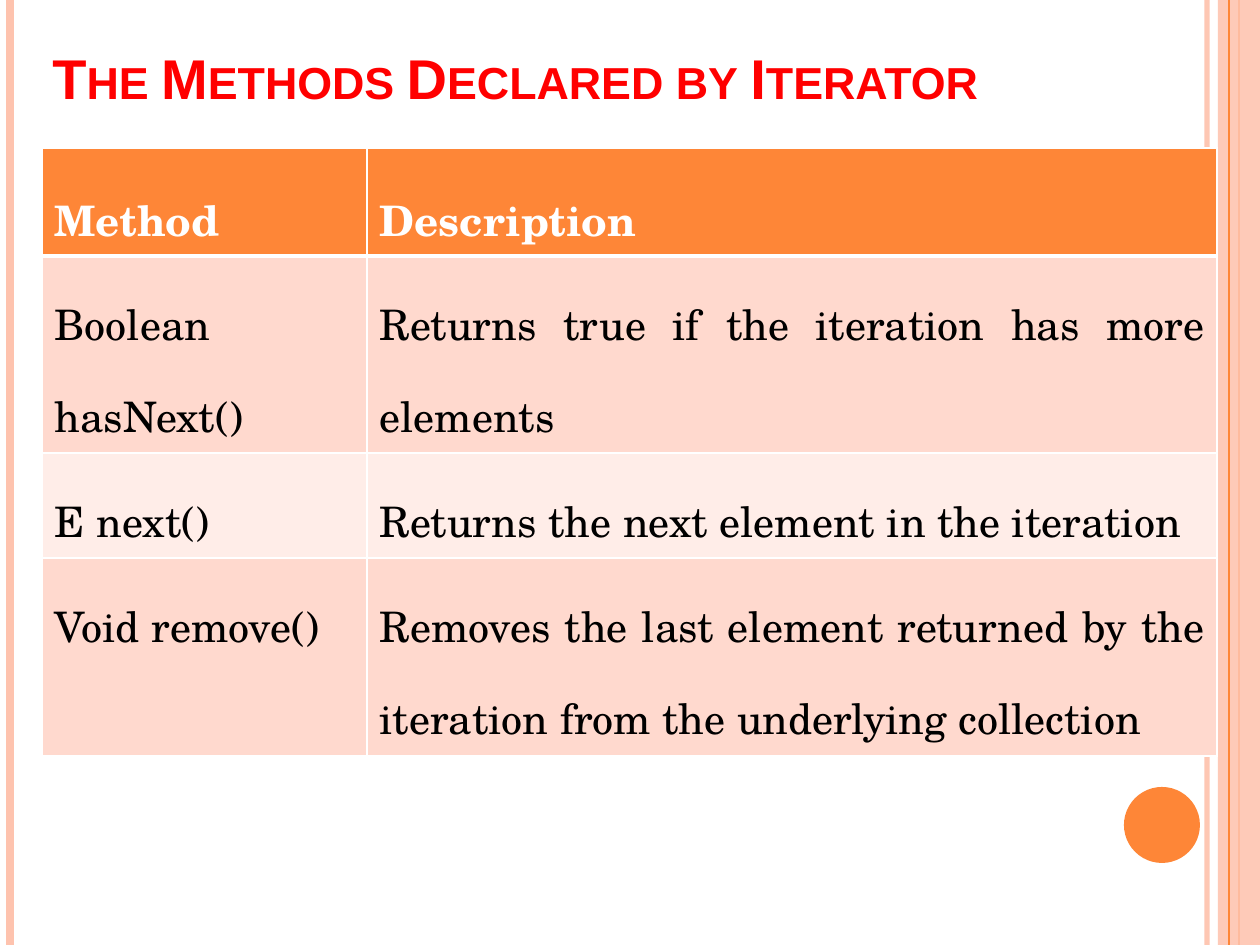
import pptx
import pptx.dml.color
import pptx.enum.shapes
import pptx.enum.text
import pptx.oxml
import pptx.oxml.ns
import pptx.util
from lxml import etree

SCALE = 914400 / 126
THEME = {
    "accent": "FE8637",
    "pale": "FEC3AE",
    "band_dark": "FFD9CE",
    "band_light": "FFEDE8",
    "title": "FF0000",
    "text": "000000",
    "white": "FFFFFF",
    "title_font": "Arial",
    "body_font": "TeX Gyre Schola",
    "title_size": 32,
    "body_size": 24,
}
qn = pptx.oxml.ns.qn
PAGE_WIDTH, PAGE_HEIGHT = 1260, 945


def px(*lengths):
    """Turn pixel lengths into EMU."""
    return [pptx.util.Emu(round(length * SCALE)) for length in lengths]


def paint(fill, name, alpha=100):
    """Fill with a solid theme colour, alpha in percent."""
    fill.solid()
    fill.fore_color.rgb = pptx.dml.color.RGBColor.from_string(THEME[name])
    if alpha < 100:
        color = fill._xPr.find(".//" + qn("a:srgbClr"))
        etree.SubElement(color, qn("a:alpha")).set("val", str(alpha * 1000))


deck = pptx.Presentation()
deck.slide_width, deck.slide_height = px(PAGE_WIDTH, PAGE_HEIGHT)
page = deck.slides.add_slide(deck.slide_layouts[6])

# Side stripes: (kind, x, width, colour, alpha); line widths are in points
STRIPES = [
    ("line", 1207, 3, "pale", 93),
    ("line", 10, 4.5, "pale", 100),
    ("line", 1239, 1.5, "accent", 100),
    ("band", 1218, 42, "pale", 87),
    ("line", 1229, 0.75, "accent", 100),
]
for kind, x, width, color, alpha in STRIPES:
    if kind == "band":
        band = page.shapes.add_shape(
            pptx.enum.shapes.MSO_SHAPE.RECTANGLE, *px(x, 0, width, PAGE_HEIGHT))
        band.shadow.inherit = False
        band.line.fill.background()
        paint(band.fill, color, alpha)
    else:
        line = page.shapes.add_connector(
            pptx.enum.shapes.MSO_CONNECTOR.STRAIGHT, *px(x, 0, x, PAGE_HEIGHT))
        line.line.width = pptx.util.Pt(width)
        paint(line.line.fill, color, alpha)
        etree.SubElement(line._element.spPr, qn("a:effectLst"))

circle = page.shapes.add_shape(
    pptx.enum.shapes.MSO_SHAPE.OVAL, *px(1124, 787, 76, 76))
circle.shadow.inherit = False
circle.line.fill.background()
paint(circle.fill, "accent")

# Title
box = page.shapes.add_textbox(*px(40, 13, 1155, 104))
box.text_frame.word_wrap = True
box.text_frame.vertical_anchor = pptx.enum.text.MSO_ANCHOR.BOTTOM
para = box.text_frame.paragraphs[0]
span = para.add_run()
span.text = "The Methods Declared by Iterator"
span.font.name = THEME["title_font"]
span.font.size = pptx.util.Pt(THEME["title_size"])
span.font.bold = True
paint(span.font.fill, "title")
span.font._element.set("cap", "small")

# Methods table
ROWS = [
    ("Method", "Description"),
    ("Boolean hasNext()", "Returns true if the iteration has more elements"),
    ("E next()", "Returns the next element in the iteration"),
    ("Void remove()", "Removes the last element returned by the iteration "
                      "from the underlying collection"),
]
COLUMN_WIDTHS = [325, 850]
ROW_HEIGHTS = [108, 197, 105, 198]
table = page.shapes.add_table(
    len(ROWS), len(COLUMN_WIDTHS),
    *px(42, 148, sum(COLUMN_WIDTHS), sum(ROW_HEIGHTS))).table
for column, width in zip(table.columns, px(*COLUMN_WIDTHS)):
    column.width = width
for row, height in zip(table.rows, px(*ROW_HEIGHTS)):
    row.height = height

for r, texts in enumerate(ROWS):
    header = r == 0
    band_name = "accent" if header else "band_dark" if r % 2 else "band_light"
    # The rule under the header is the thick one
    borders = {"lnL": 1, "lnR": 1, "lnT": 3 if r == 1 else 1,
               "lnB": 3 if header else 1}
    for c, text in enumerate(texts):
        cell = table.cell(r, c)
        cell.text = text
        paint(cell.fill, band_name)
        para = cell.text_frame.paragraphs[0]
        para.alignment = pptx.enum.text.PP_ALIGN.JUSTIFY
        para.line_spacing = 1.5
        para.font.name = THEME["body_font"]
        para.font.size = pptx.util.Pt(THEME["body_size"])
        para.font.bold = header
        paint(para.font.fill, "white" if header else "text")
        properties = cell._tc.get_or_add_tcPr()
        for place, (side, points) in enumerate(borders.items()):
            border = etree.Element(qn("a:" + side), w=str(pptx.util.Pt(points)))
            solid = etree.SubElement(border, qn("a:solidFill"))
            etree.SubElement(solid, qn("a:srgbClr"), val=THEME["white"])
            properties.insert(place, border)

deck.save("out.pptx")
